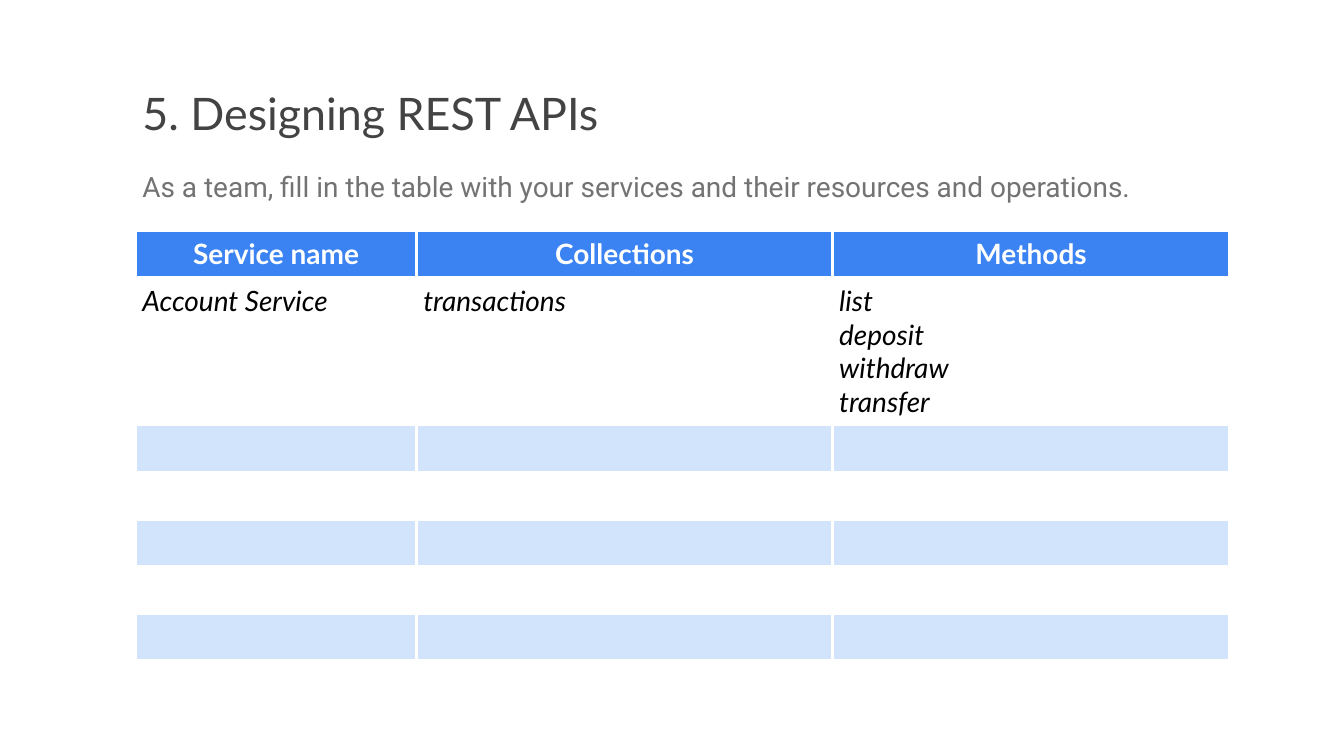
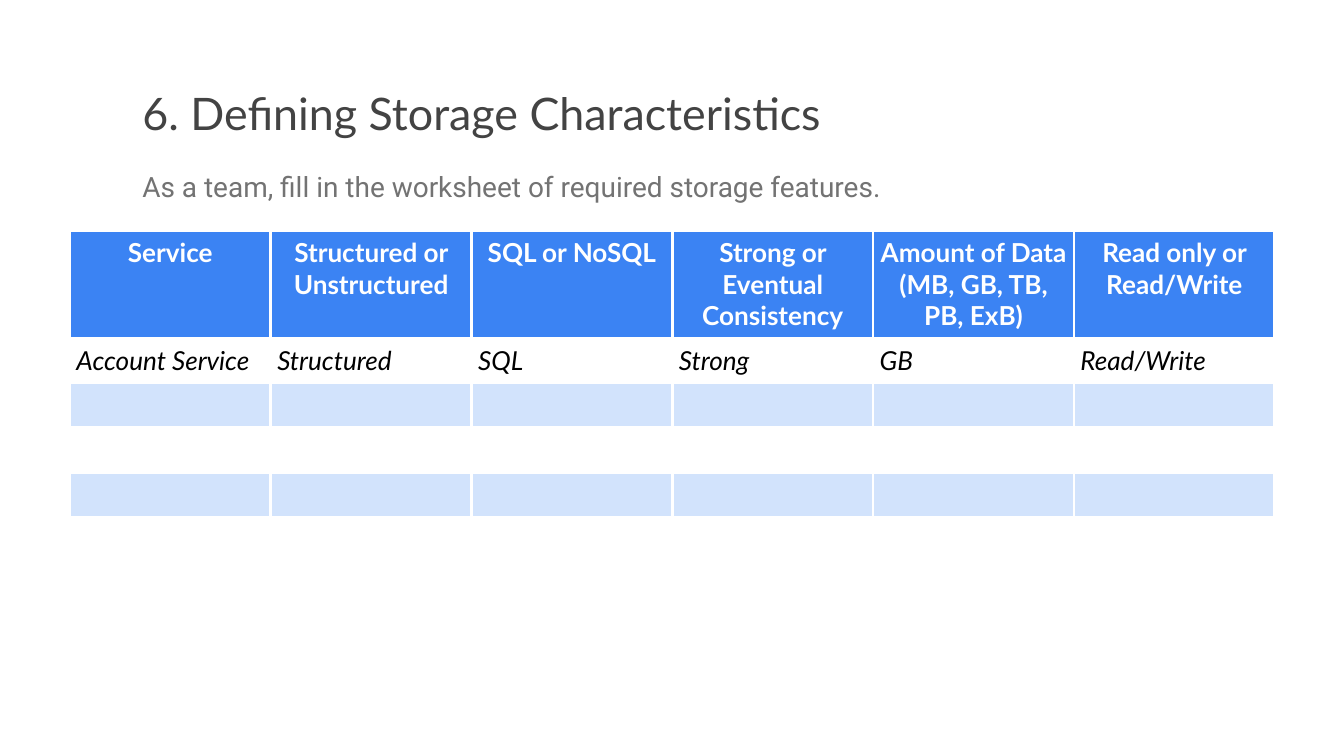
from pptx import Presentation
from pptx.dml.color import RGBColor
from pptx.enum.text import MSO_ANCHOR, PP_ALIGN
from pptx.oxml.ns import qn
from pptx.util import Cm, Pt
from lxml import etree

DARK = RGBColor(0x43, 0x43, 0x43)
GREY = RGBColor(0x73, 0x73, 0x73)
BLUE = RGBColor(0x3B, 0x83, 0xF3)
PALE = RGBColor(0xD2, 0xE3, 0xFC)
WHITE = RGBColor(0xFF, 0xFF, 0xFF)
BLACK = RGBColor(0, 0, 0)
CENTER = PP_ALIGN.CENTER
LEFT = PP_ALIGN.LEFT
TOP = MSO_ANCHOR.TOP

PAD = Cm(0.25)
EDGE = Pt(3)
MARGIN = 5.13
TABLE_TOP = 8.71
SIDES = ("a:lnL", "a:lnR", "a:lnT", "a:lnB")
INSETS = {f"margin_{side}": PAD for side in ("left", "right", "top", "bottom")}
TITLE = {"name": "Lato", "size": Pt(48)}
LEAD = {"name": "Roboto", "size": Pt(30)}
HEAD = {"name": "Lato", "bold": True, "italic": False}
ENTRY = {"name": "Lato", "bold": False, "italic": True}
SPACED = {"line_spacing": 1.15, "space_after": Pt(16)}


def apply(target, values):
    for key, value in values.items():
        setattr(target, key, value)


class Deck:
    def __init__(self):
        self.file = Presentation()
        apply(self.file, {"slide_width": Cm(50.8), "slide_height": Cm(28.58)})
        self.slide = None

    def page(self, title, lead):
        self.slide = self.file.slides.add_slide(self.file.slide_layouts[6])
        fill = self.slide.background.fill
        fill.solid()
        fill.fore_color.rgb = WHITE
        self.text(title, 3, 40.6, 2.98, TITLE, DARK, {})
        self.text(lead, 5.98, 41.5, 2, LEAD, GREY, SPACED)

    def text(self, words, top, width, height, font, color, layout):
        box = self.slide.shapes.add_textbox(
            Cm(MARGIN), Cm(top), Cm(width), Cm(height))
        frame = box.text_frame
        apply(frame, {**INSETS, "word_wrap": True, "vertical_anchor": TOP})
        self.label(frame, words, font, color, layout)

    def label(self, frame, words, font, color, layout):
        frame.text = words
        for para in frame.paragraphs:
            apply(para, layout)
            for run in para.runs:
                apply(run.font, font)
                run.font.color.rgb = color

    def border(self, cell):
        props = cell._tc.get_or_add_tcPr()
        for side in SIDES:
            line = etree.SubElement(props, qn(side), w=str(EDGE))
            fill = etree.SubElement(line, qn("a:solidFill"))
            etree.SubElement(fill, qn("a:srgbClr"), val=str(WHITE))

    def paint(self, cell, color):
        self.border(cell)
        if color is None:
            cell.fill.background()
        else:
            cell.fill.solid()
            cell.fill.fore_color.rgb = color

    def table(self, left, widths, heights, size, heads, entries):
        grid = self.slide.shapes.add_table(
            len(heights), len(widths), Cm(left), Cm(TABLE_TOP),
            Cm(sum(widths)), Cm(sum(heights))).table
        grid.horz_banding = False
        for column, width in zip(grid.columns, widths):
            column.width = Cm(width)
        for index, (row, height) in enumerate(zip(grid.rows, heights)):
            row.height = Cm(height)
            band = PALE if index % 2 == 0 else None
            for cell in row.cells:
                apply(cell, {**INSETS, "vertical_anchor": TOP})
                self.paint(cell, band if index else BLUE)
        styles = ((heads, HEAD, WHITE, CENTER), (entries, ENTRY, BLACK, LEFT))
        for row, (words, font, color, align) in zip(grid.rows, styles):
            for cell, word in zip(row.cells, words):
                self.label(cell.text_frame, word, {**font, "size": Pt(size)},
                           color, {"alignment": align})


def main():
    deck = Deck()
    deck.page("5. Designing REST APIs",
              "As a team, fill in the table with your services "
              "and their resources and operations.")
    deck.table(MARGIN, [10.62, 15.72, 15.01], [1.78, 5.58] + [1.78] * 5, 30,
               ["Service name", "Collections", "Methods"],
               ["Account Service", "transactions",
                "list\ndeposit\nwithdraw\ntransfer"])

    deck.page("6. Defining Storage Characteristics",
              "As a team, fill in the worksheet of required storage features.")
    deck.table(2.64, [7.59] * 6, [4.06] + [1.7] * 5, 28,
               ["Service", "Structured or Unstructured", "SQL or NoSQL",
                "Strong or Eventual Consistency",
                "Amount of Data (MB, GB, TB, PB, ExB)",
                "Read only or Read/Write"],
               ["Account Service", "Structured", "SQL", "Strong", "GB",
                "Read/Write"])
    deck.file.save("out.pptx")


if __name__ == "__main__":
    main()
